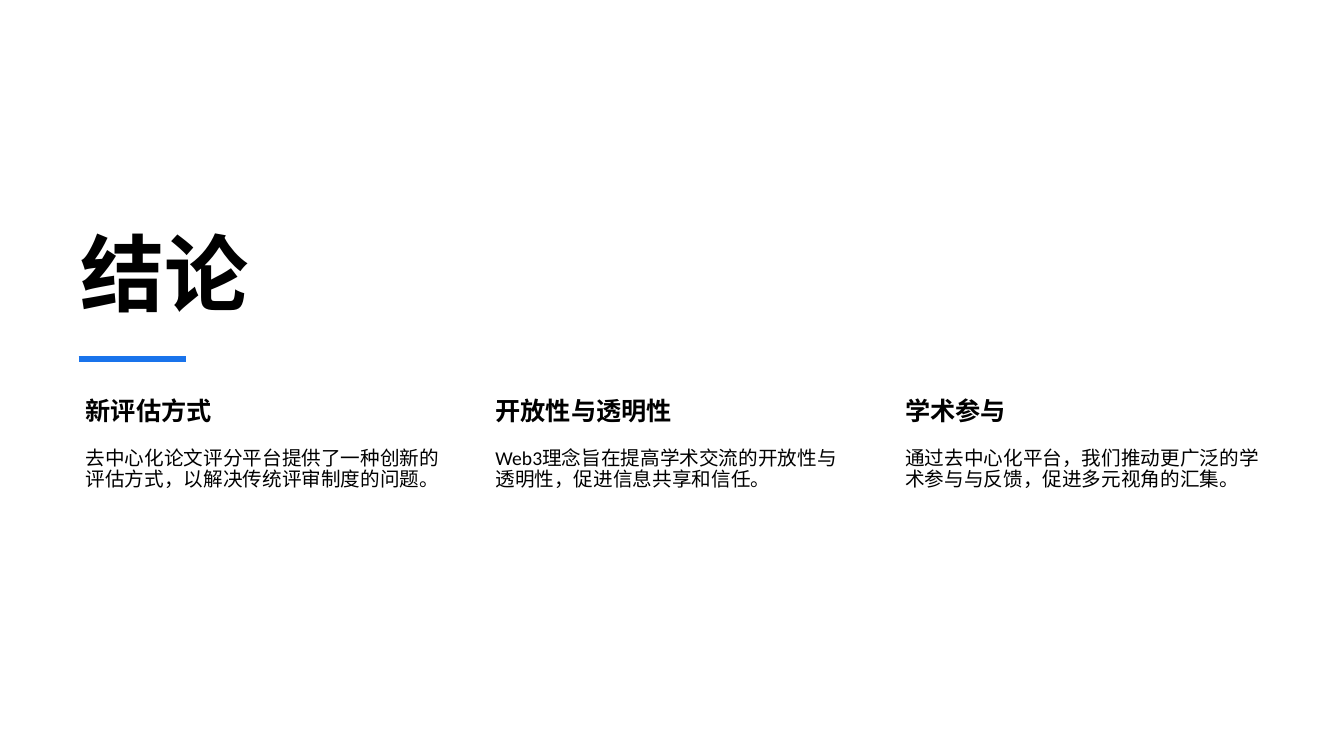
from dataclasses import dataclass

from lxml.etree import SubElement
from pptx import Presentation
from pptx.dml.color import RGBColor
from pptx.enum.shapes import MSO_CONNECTOR
from pptx.enum.text import MSO_ANCHOR, PP_ALIGN
from pptx.oxml.ns import qn
from pptx.shapes.base import BaseShape
from pptx.slide import Slide
from pptx.util import Pt

FONT = "Calibri"
BLACK = "000000"
BLUE = "1973EB"
COLUMN_LEFT, COLUMN_STEP, COLUMN_WIDTH = 50.4, 292.7, 265.7


@dataclass
class TextStyle:
    size: float
    bold: bool
    space_after: float
    insets: tuple[float, float, float, float]
    anchor: MSO_ANCHOR = MSO_ANCHOR.TOP


@dataclass
class Conclusion:
    heading: str
    body: str


TITLE = TextStyle(60, True, 0, (7.2, 3.6, 7.2, 3.6), MSO_ANCHOR.BOTTOM)
HEADING = TextStyle(18, True, 6.3, (10.8, 2.16, 2.16, 2.16))
BODY = TextStyle(14, False, 4.9, (10.8, 1.44, 1.44, 1.44))

CONCLUSIONS = [
    Conclusion("新评估方式", "去中心化论文评分平台提供了一种创新的评估方式，以解决传统评审制度的问题。"),
    Conclusion("开放性与透明性", "Web3理念旨在提高学术交流的开放性与透明性，促进信息共享和信任。"),
    Conclusion("学术参与", "通过去中心化平台，我们推动更广泛的学术参与与反馈，促进多元视角的汇集。"),
]


def color(hex_value: str) -> RGBColor:
    return RGBColor.from_string(hex_value)


def set_values(target: object, values: dict[str, object]) -> None:
    for name, value in values.items():
        setattr(target, name, value)


def place(shape: BaseShape, left: float, top: float, width: float, height: float) -> None:
    set_values(shape, {"left": Pt(left), "top": Pt(top), "width": Pt(width), "height": Pt(height)})


def write(shape: BaseShape, text: str, style: TextStyle) -> None:
    frame = shape.text_frame
    sides = ("margin_left", "margin_top", "margin_right", "margin_bottom")
    set_values(frame, {side: Pt(inset) for side, inset in zip(sides, style.insets)})
    set_values(frame, {"word_wrap": True, "vertical_anchor": style.anchor})
    para = frame.paragraphs[0]
    set_values(para, {
        "alignment": PP_ALIGN.LEFT,
        "line_spacing": 0.9,
        "space_before": Pt(0),
        "space_after": Pt(style.space_after),
    })
    span = para.add_run()
    span.text = text
    set_values(span.font, {"name": FONT, "size": Pt(style.size), "bold": style.bold})
    span.font.color.rgb = color(BLACK)


def add_text(page: Slide, text: str, style: TextStyle, left: float, top: float, height: float) -> None:
    box = page.shapes.add_textbox(Pt(left), Pt(top), Pt(COLUMN_WIDTH), Pt(height))
    write(box, text, style)


def add_rule(page: Slide, left: float, right: float, top: float) -> None:
    rule = page.shapes.add_connector(MSO_CONNECTOR.STRAIGHT, Pt(left), Pt(top), Pt(right), Pt(top))
    rule.line.width = Pt(4.5)
    rule.line.color.rgb = color(BLUE)
    SubElement(rule._element.spPr, qn("a:effectLst"))


def main() -> None:
    deck = Presentation()
    set_values(deck, {"slide_width": Pt(960), "slide_height": Pt(540)})
    page = deck.slides.add_slide(deck.slide_layouts[5])

    # Title and accent rule
    title = page.shapes.title
    place(title, 50.4, 123.8, 643, 110.9)
    write(title, "结论", TITLE)
    add_rule(page, 56.2, 133.2, 256.3)

    # Three conclusion columns
    for index, conclusion in enumerate(CONCLUSIONS):
        left = COLUMN_LEFT + index * COLUMN_STEP
        add_text(page, conclusion.heading, HEADING, left, 283, 36)
        add_text(page, conclusion.body, BODY, left, 319, 158.4)

    deck.save("out.pptx")


if __name__ == "__main__":
    main()
